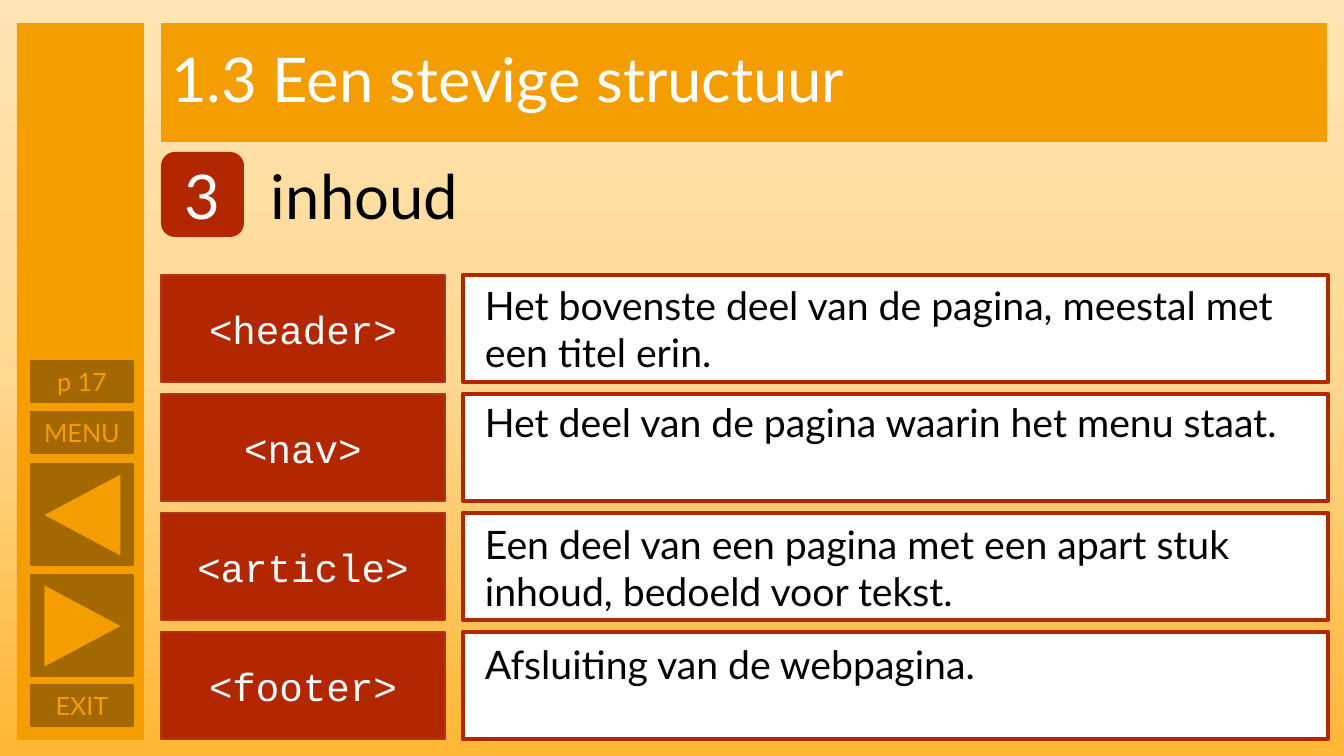
from copy import deepcopy
from pptx import Presentation
from pptx.dml.color import RGBColor
from pptx.enum.shapes import MSO_SHAPE
from pptx.enum.text import MSO_ANCHOR, MSO_AUTO_SIZE, PP_ALIGN
from pptx.util import Pt

RECT, ROUND, TRI = MSO_SHAPE.RECTANGLE, MSO_SHAPE.ROUNDED_RECTANGLE, MSO_SHAPE.ISOSCELES_TRIANGLE
LEFT, CENTER = PP_ALIGN.LEFT, PP_ALIGN.CENTER
TOP, MIDDLE = MSO_ANCHOR.TOP, MSO_ANCHOR.MIDDLE
NONE, GROW = MSO_AUTO_SIZE.NONE, MSO_AUTO_SIZE.SHAPE_TO_FIT_TEXT
SCALE = 914400 / 100.8  # EMU per px

THEME = {
    "orange": "F49D00", "brown": "A36900", "red": "B22600", "rust": "AC3819",
    "white": "FFFFFF", "black": "000000",
    "sky": [(0, "FFE5B5"), (0.5, "FFD791"), (1, "FFB633")],
    "sans": "Lato", "mono": "Courier New",
    "big": 44, "body": 28, "small": 18,
}


def box(kind, at, fill, edge=None, width=1):
    """Add a filled shape at px lengths, with an optional outline."""
    shape = slide.shapes.add_shape(kind, *[round(n * SCALE) for n in at])
    shape.shadow.inherit = False
    shape.fill.solid()
    shape.fill.fore_color.rgb = RGBColor.from_string(THEME[fill])
    if edge:
        shape.line.color.rgb = RGBColor.from_string(THEME[edge])
        shape.line.width = Pt(width)
    else:
        shape.line.fill.background()
    return shape


def write(shape, text, size, color, face="sans", align=CENTER, anchor=MIDDLE, fit=NONE):
    """Set one formatted paragraph in a shape."""
    frame = shape.text_frame
    frame.text = text
    para = frame.paragraphs[0]
    font = para.runs[0].font
    form = {
        frame: {"word_wrap": True, "auto_size": fit, "vertical_anchor": anchor},
        para: {"alignment": align},
        font: {"name": THEME[face], "size": Pt(THEME[size])},
    }
    for part, values in form.items():
        for name, value in values.items():
            setattr(part, name, value)
    font.color.rgb = RGBColor.from_string(THEME[color])
    return para


# Slide and background
deck = Presentation()
deck.slide_width, deck.slide_height = round(1344 * SCALE), round(756 * SCALE)
slide = deck.slides.add_slide(deck.slide_layouts[5])
back = slide.background.fill
back.gradient()
back.gradient_angle = 270
stops = slide.element.xpath(".//p:bg//a:gsLst")[0]
stops.append(deepcopy(stops[-1]))
for stop, (place, color) in zip(back.gradient_stops, THEME["sky"]):
    stop.position = place
    stop.color.rgb = RGBColor.from_string(color)

# Title
title = slide.shapes.title
spot = {"left": 161, "top": 23, "width": 1166, "height": 119}
for name, value in spot.items():
    setattr(title, name, round(value * SCALE))
title.fill.solid()
title.fill.fore_color.rgb = RGBColor.from_string(THEME["orange"])
write(title, "1.3 Een stevige structuur", "big", "white", align=LEFT).line_spacing = 0.9

# Side bar with buttons
box(RECT, (17, 23, 127, 717), "orange")
for label, top in (("EXIT", 685), ("MENU", 412), ("p 17", 361)):
    button = box(RECT, (31, top, 102, 41), "brown", "brown")
    write(button, label, "small", "orange")
for top, turn in ((575, 90), (464, 270)):
    box(RECT, (31, top, 102, 101), "brown", "brown")
    box(TRI, (42, top + 13, 81, 76), "orange").rotation = turn

# Numbered heading
write(box(ROUND, (161, 152, 83, 85), "red"), "3", "big", "white")
head = slide.shapes.add_textbox(*[round(n * SCALE) for n in (261, 152, 1066, 85)])
write(head, "inhoud", "big", "black", align=LEFT)

# Tags and their meaning: tag, text, text top, text height
rows = [
    ("<header>", "Het bovenste deel van de pagina, meestal met een titel erin.", 276, 105),
    ("<nav>", "Het deel van de pagina waarin het menu staat.", 393, 57),
    ("<article>", "Een deel van een pagina met een apart stuk inhoud, bedoeld voor tekst.", 515, 105),
    ("<footer>", "Afsluiting van de webpagina.", 635, 57),
]
for i, (tag, text, top, height) in enumerate(rows):
    y = 275 + 119 * i
    write(box(RECT, (161, y, 284, 107), "red", "rust"), tag, "body", "white", "mono")
    box(RECT, (463, y, 865, 107), "white", "red", 3)
    note = slide.shapes.add_textbox(*[round(n * SCALE) for n in (475, top, 869, height)])
    write(note, text, "body", "black", align=LEFT, anchor=TOP, fit=GROW)

deck.save("out.pptx")
